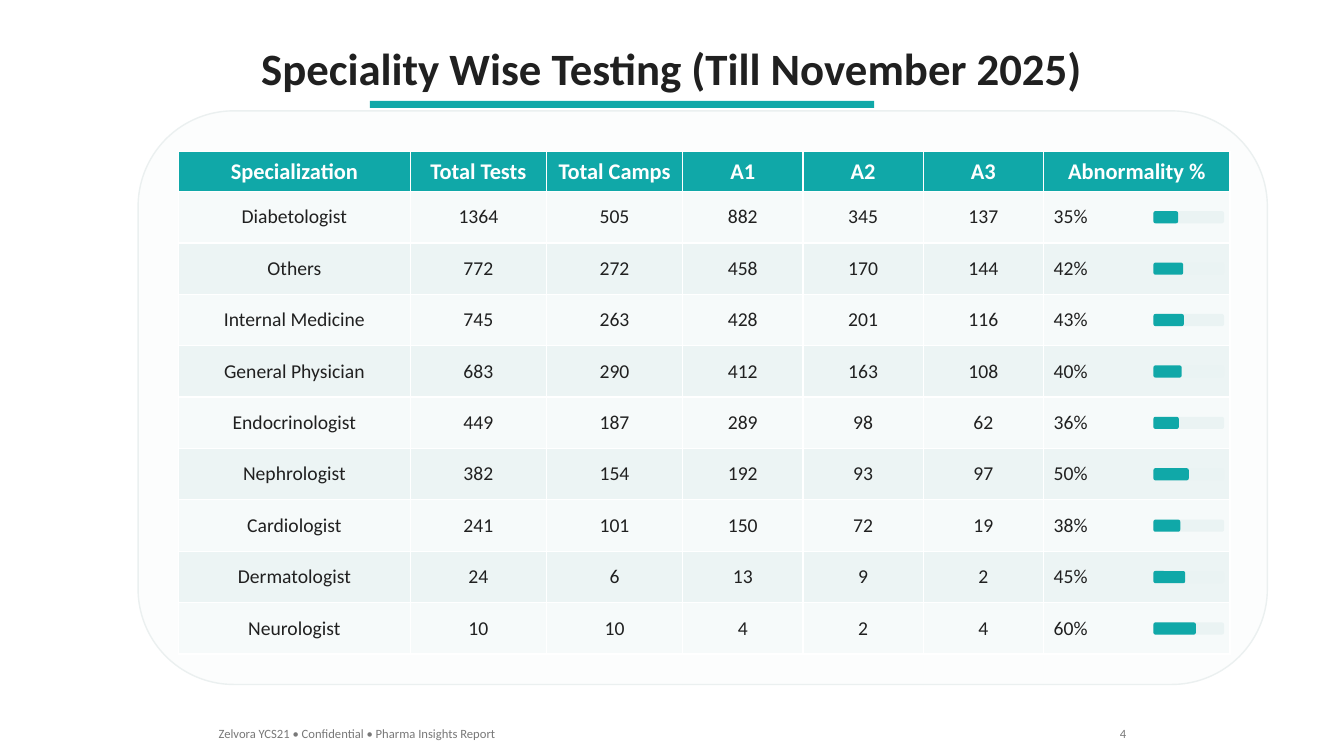
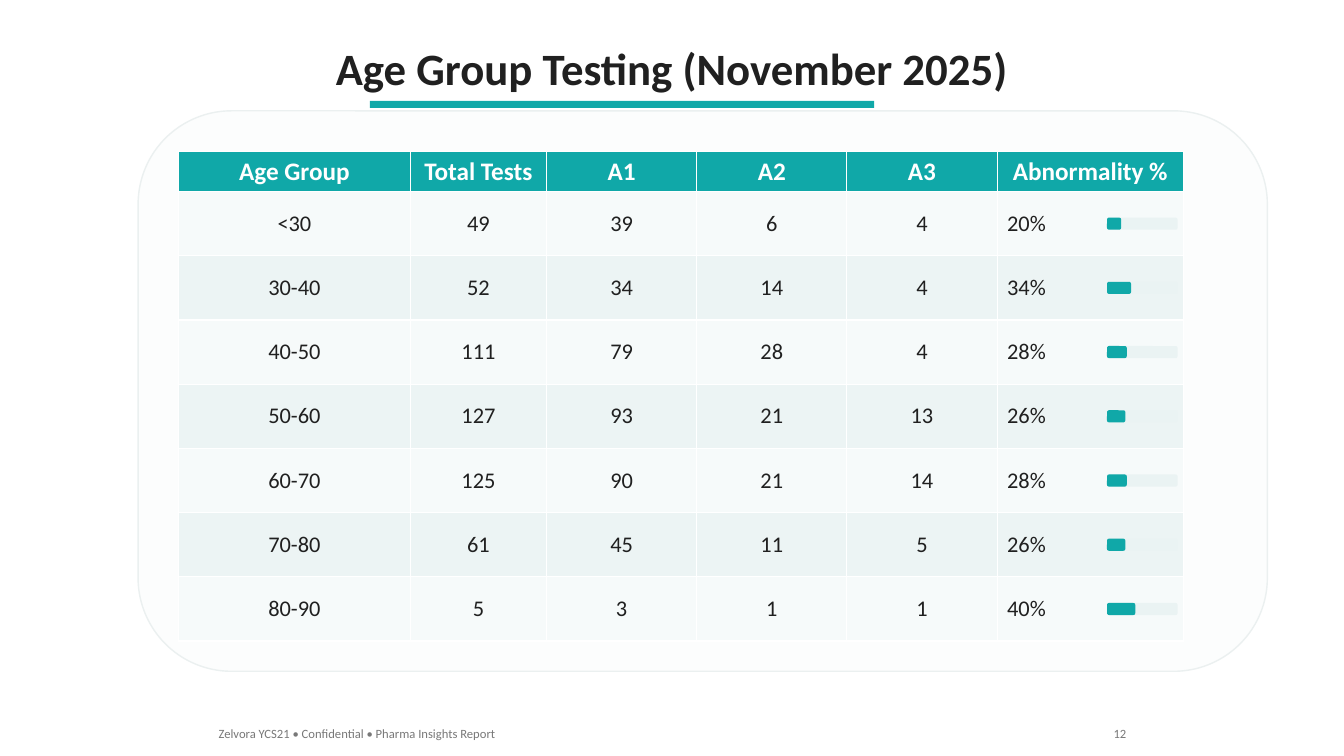
from pptx import Presentation
from pptx.dml.color import RGBColor
from pptx.enum.shapes import MSO_SHAPE
from pptx.enum.text import MSO_ANCHOR, PP_ALIGN
from pptx.util import Inches, Pt

RECT, ROUND = MSO_SHAPE.RECTANGLE, MSO_SHAPE.ROUNDED_RECTANGLE
LEFT, MID, RIGHT = PP_ALIGN.LEFT, PP_ALIGN.CENTER, PP_ALIGN.RIGHT
CENTER = MSO_ANCHOR.MIDDLE

FONT = "Calibri"
TEAL, INK, GREY, WHITE = "10A8A8", "202020", "787878", "FFFFFF"
PANEL, EDGE, TRACK = "FCFDFD", "EBF0F0", "EAF3F3"
BANDS = ("F6FAFA", "ECF4F4")

WIDE, HIGH = 13.33, 7.5
TOP, SIDE = 1.1, 1.37      # corner of the panel
PAD = 0.4                  # panel edge to table
HEAD = 0.4                 # header row
NAME, COUNT, SHARE = 2.3, 1.35, 1.85   # column widths
BAR, THICK, INSET = 0.7, 0.12, 0.76    # bar length, height, start from right

FOOT = "Zelvora YCS21 • Confidential • Pharma Insights Report"

SPECIALTY = {
    "title": "Speciality Wise Testing (Till November 2025)",
    "page": 4, "size": 14, "box": (10.43, 4.99), "counts": 2,
    "head": ("Specialization", "Total Tests", "Total Camps",
             "A1", "A2", "A3", "Abnormality %"),
    "rows": (
        ("Diabetologist", 1364, 505, 882, 345, 137, 35),
        ("Others", 772, 272, 458, 170, 144, 42),
        ("Internal Medicine", 745, 263, 428, 201, 116, 43),
        ("General Physician", 683, 290, 412, 163, 108, 40),
        ("Endocrinologist", 449, 187, 289, 98, 62, 36),
        ("Nephrologist", 382, 154, 192, 93, 97, 50),
        ("Cardiologist", 241, 101, 150, 72, 19, 38),
        ("Dermatologist", 24, 6, 13, 9, 2, 45),
        ("Neurologist", 10, 10, 4, 2, 4, 60),
    ),
}
AGE = {
    "title": "Age Group Testing (November 2025)",
    "page": 12, "size": 16, "box": (9.97, 4.86), "counts": 1,
    "head": ("Age Group", "Total Tests", "A1", "A2", "A3", "Abnormality %"),
    "rows": (
        ("<30", 49, 39, 6, 4, 20),
        ("30-40", 52, 34, 14, 4, 34),
        ("40-50", 111, 79, 28, 4, 28),
        ("50-60", 127, 93, 21, 13, 26),
        ("60-70", 125, 90, 21, 14, 28),
        ("70-80", 61, 45, 11, 5, 26),
        ("80-90", 5, 3, 1, 1, 40),
    ),
}


def paint(fill, color):
    fill.solid()
    fill.fore_color.rgb = RGBColor.from_string(color)


def write(frame, text, size, color, align, bold=False):
    para = frame.paragraphs[0]
    para.alignment = align
    run = para.add_run()
    run.text = text
    font = run.font
    font.name, font.size, font.bold = FONT, Pt(size), bold
    font.color.rgb = RGBColor.from_string(color)


def label(slide, box, *style):
    frame = slide.shapes.add_textbox(*map(Inches, box)).text_frame
    frame.word_wrap = True
    write(frame, *style)


def block(slide, kind, box, color, edge=None):
    shape = slide.shapes.add_shape(kind, *map(Inches, box))
    shape.shadow.inherit = False
    paint(shape.fill, color)
    if edge:
        paint(shape.line.fill, edge)
        shape.line.width = Pt(1)
    else:
        shape.line.fill.background()


def header(slide, title):
    label(slide, (0, 0.35, WIDE, 0.64), title, 32, INK, MID, True)
    block(slide, RECT, (3.67, 1, 5, 0.07), TEAL)


def footer(slide, page):
    y = HIGH - 0.35
    label(slide, (2.07, y, 4, 0.25), FOOT, 9, GREY, LEFT)
    label(slide, (10.27, y, 1, 0.25), str(page), 9, GREY, RIGHT)


def fill_row(cells, texts, size, ink, back, bold=False, last=MID):
    """Write one table row; the last cell may be aligned on its own."""
    for col, (cell, text) in enumerate(zip(cells, texts), 1):
        cell.vertical_anchor = CENTER
        paint(cell.fill, back)
        align = last if col == len(texts) else MID
        write(cell.text_frame, str(text), size, ink, align, bold)


def grid(slide, box, data):
    """Table in the box, with a bar for each row's percentage."""
    x, y, w, h = box
    head, rows, size = data["head"], data["rows"], data["size"]
    fixed = [NAME] + [COUNT] * data["counts"]
    rest = len(head) - len(fixed) - 1
    each = (w - sum(fixed) - SHARE) / rest
    step = (h - HEAD) / len(rows)

    table = slide.shapes.add_table(
        len(rows) + 1, len(head), *map(Inches, box)).table
    for col, wide in zip(table.columns, fixed + [each] * rest + [SHARE]):
        col.width = Inches(wide)
    for row, tall in zip(table.rows, [HEAD] + [step] * len(rows)):
        row.height = Inches(tall)

    fill_row(table.rows[0].cells, head, size + 2, WHITE, TEAL, True)
    for i, (*texts, rate) in enumerate(rows):
        fill_row(table.rows[i + 1].cells, (*texts, f"{rate}%"),
                 size, INK, BANDS[i % 2], last=LEFT)
        mid = y + HEAD + (i + 0.5) * step
        for wide, color in ((BAR, TRACK), (BAR * rate / 100, TEAL)):
            block(slide, ROUND,
                  (x + w - INSET, mid - THICK / 2, wide, THICK), color)


def report(deck, data):
    slide = deck.slides.add_slide(deck.slide_layouts[6])
    w, h = data["box"]
    header(slide, data["title"])
    block(slide, ROUND, (SIDE, TOP, 11.2, h + 0.7), PANEL, EDGE)
    grid(slide, (SIDE + PAD, TOP + PAD, w, h), data)
    footer(slide, data["page"])


def main():
    deck = Presentation()
    deck.slide_width, deck.slide_height = Inches(WIDE), Inches(HIGH)
    for data in (SPECIALTY, AGE):
        report(deck, data)
    deck.save("out.pptx")


if __name__ == "__main__":
    main()
